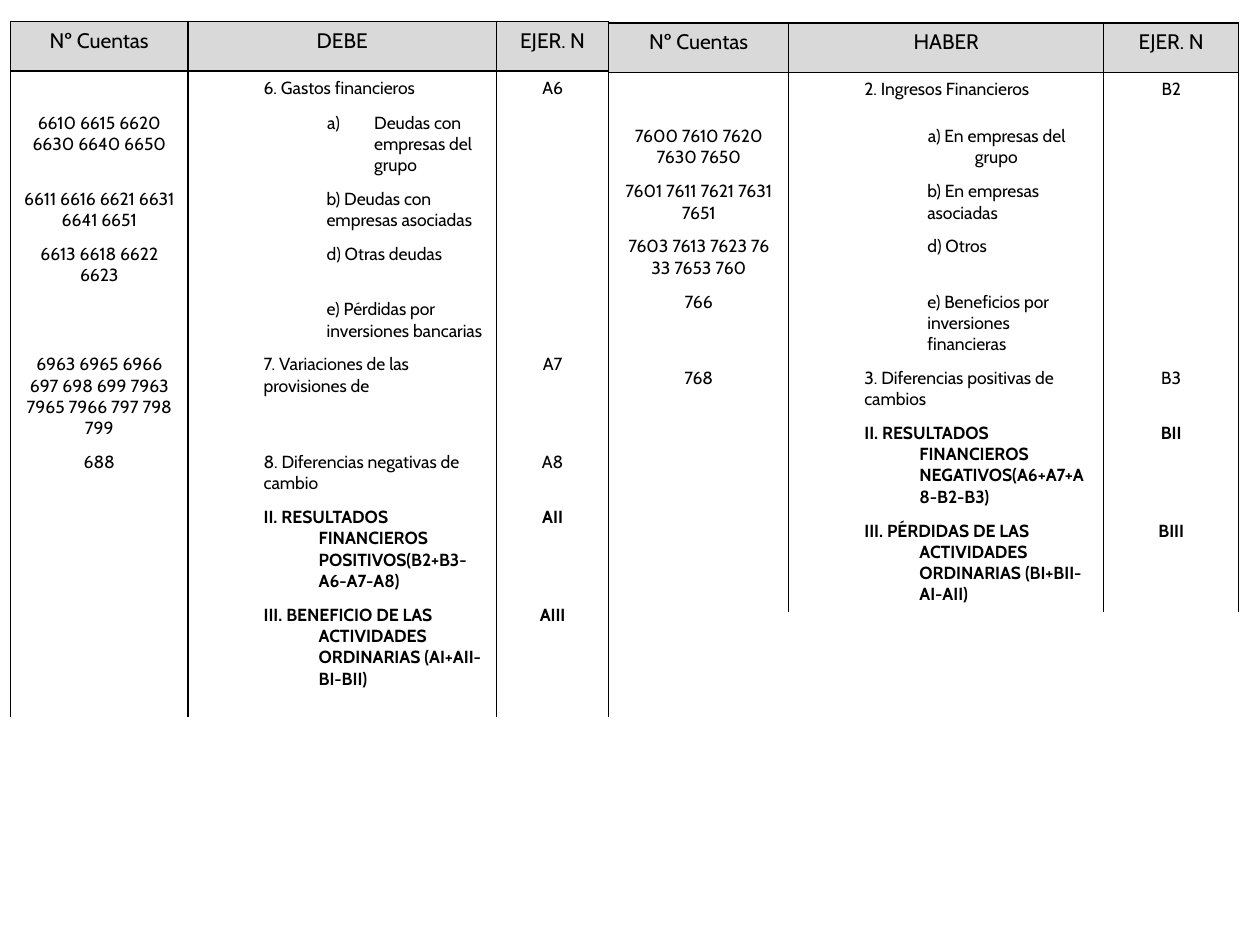
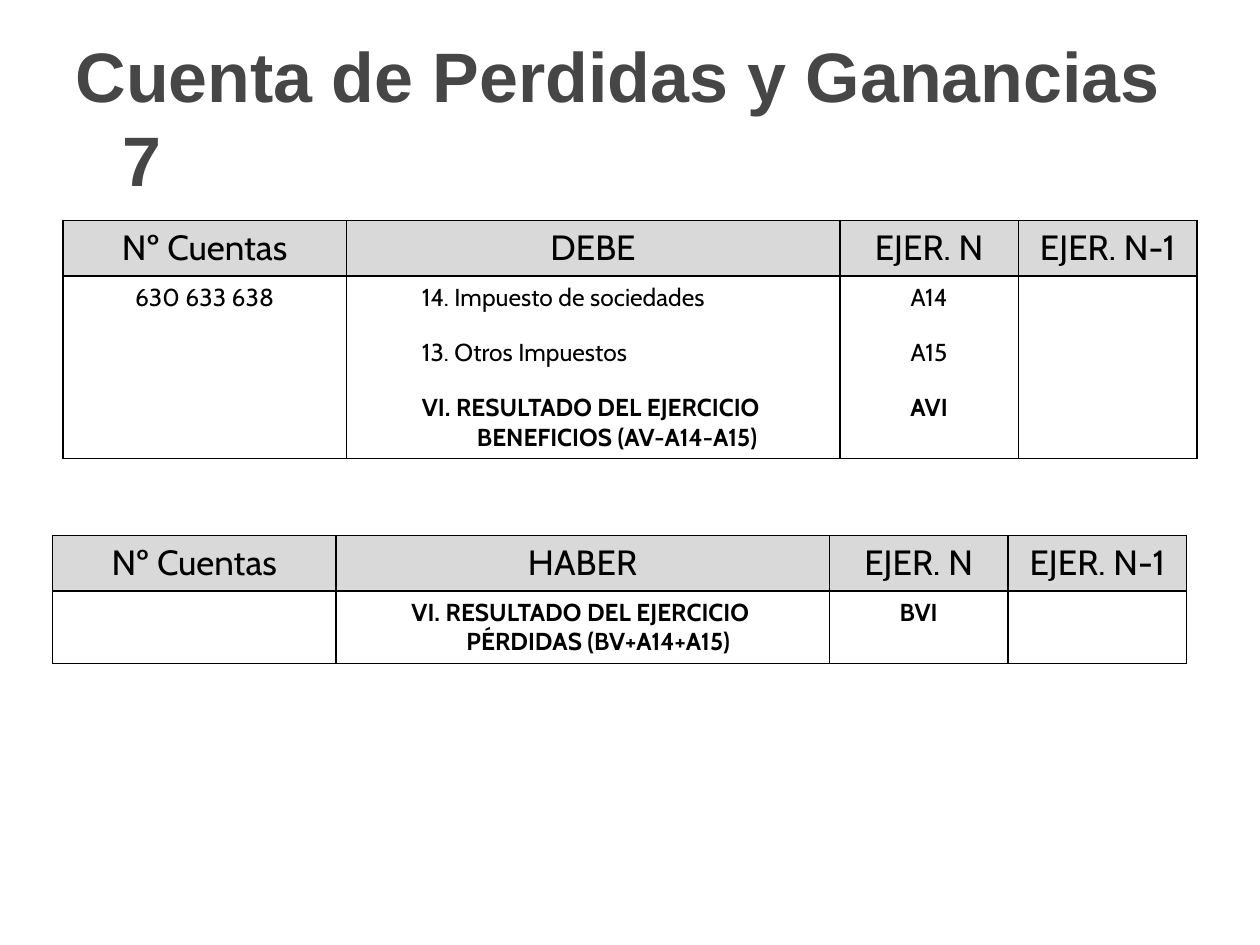
from lxml import etree
from pptx import Presentation
from pptx.dml.color import RGBColor
from pptx.enum.text import MSO_ANCHOR, MSO_AUTO_SIZE, PP_ALIGN
from pptx.oxml.ns import qn
from pptx.util import Cm, Pt

LEFT, MID = PP_ALIGN.LEFT, PP_ALIGN.CENTER
CENTRE = MSO_ANCHOR.MIDDLE
FIXED = MSO_AUTO_SIZE.NONE

INK, GREY, SLATE = "000000", "D9D9D9", "464646"
SIDES = "LRTB"

LEVELS = {
    "main": (1, 1.27, 0),
    "sub": (2, 2.54, 0),
    "hang": (2, 3.5, -0.95),
    "list": (2, 3.5, -0.95),
    "sum": (1, 2.38, -1.11),
}

DEBIT = [
    (0.71, "", "6. Gastos financieros", "main", "A6"),
    (1.53, "6610 6615 6620 6630 6640 6650",
     "Deudas con empresas del grupo", "list", ""),
    (1.11, "6611 6616 6621 6631 6641 6651",
     "b) Deudas con empresas asociadas", "sub", ""),
    (1.11, "6613 6618 6622 6623", "d) Otras deudas", "sub", ""),
    (1.11, "", "e) Pérdidas por inversiones bancarias", "sub", ""),
    (1.96, "6963 6965 6966 697 698 699 7963 7965 7966 797 798 799",
     "7. Variaciones de las provisiones de", "main", "A7"),
    (1.11, "688", "8. Diferencias negativas de cambio", "main", "A8"),
    (1.97, "", "II. RESULTADOS FINANCIEROS POSITIVOS(B2+B3-A6-A7-A8)",
     "sum", "AII"),
    (2.4, "",
     "III. BENEFICIO DE LAS ACTIVIDADES ORDINARIAS (AI+AII-BI-BII)",
     "sum", "AIII"),
]
CREDIT = [
    (0.95, "", "2. Ingresos Financieros", "main", "B2"),
    (1.11, "7600 7610 7620 7630 7650",
     "a) En empresas del grupo", "hang", ""),
    (1.11, "7601 7611 7621 7631 7651", "b) En empresas asociadas", "sub", ""),
    (1.11, "7603 7613 7623 76 33 7653 760", "d) Otros", "sub", ""),
    (1.53, "766", "e) Beneficios por inversiones financieras", "sub", ""),
    (1.11, "768", "3. Diferencias positivas de cambios", "main", "B3"),
    (1.97, "", "II. RESULTADOS FINANCIEROS NEGATIVOS(A6+A7+A8-B2-B3)",
     "sum", "BII"),
    (1.97, "",
     "III. PÉRDIDAS DE LAS ACTIVIDADES ORDINARIAS (BI+BII-AI-AII)",
     "sum", "BIII"),
]
PROFIT = [
    (1.11, "630 633 638", "14. Impuesto de sociedades", "main", "A14"),
    (1.11, "", "13. Otros Impuestos", "main", "A15"),
    (1.46, "", "VI. RESULTADO DEL EJERCICIO BENEFICIOS (AV-A14-A15)",
     "sum", "AVI"),
]
LOSS = [
    (1.46, "", "VI. RESULTADO DEL EJERCICIO PÉRDIDAS (BV+A14+A15)",
     "sum", "BVI"),
]


def tint(code):
    return RGBColor.from_string(code)


def write(frame, text, size=10, font="Cabin", color=INK, bold=False,
          align=LEFT, level=0, margin=0, indent=0, number=False):
    para = frame.paragraphs[0]
    para.alignment = align
    para.level = level
    props = para._p.get_or_add_pPr()
    props.set("marL", str(Cm(margin)))
    props.set("indent", str(Cm(indent)))
    if number:
        etree.SubElement(props, qn("a:buAutoNum"), type="alphaLcParenR")
    if not text:
        etree.SubElement(para._p, qn("a:endParaRPr"), sz=str(size * 100))
        return
    run = para.add_run()
    run.text = text
    run.font.size = Pt(size)
    run.font.name = font
    run.font.bold = bold
    run.font.color.rgb = tint(color)


def edge(cell, shown):
    props = cell._tc.get_or_add_tcPr()
    for side in SIDES:
        line = etree.SubElement(props, qn("a:ln" + side), w=str(Pt(1)))
        if side in shown:
            fill = etree.SubElement(line, qn("a:solidFill"))
            etree.SubElement(fill, qn("a:srgbClr"), val=INK)
        else:
            etree.SubElement(line, qn("a:noFill"))


def ledger(slide, box, widths, heads, items, head=12, size=10, top=1.0,
           closed=False):
    heights = [top] + [item[0] for item in items]
    frame = slide.shapes.add_table(
        len(heights), len(widths), Cm(box[0]), Cm(box[1]),
        Cm(sum(widths)), Cm(sum(heights)))
    table = frame.table
    table.first_row = table.horz_banding = False
    for col, width in zip(table.columns, widths):
        col.width = Cm(width)
    for row, height in zip(table.rows, heights):
        row.height = Cm(height)

    for c, text in enumerate(heads):
        cell = table.cell(0, c)
        edge(cell, SIDES)
        cell.fill.solid()
        cell.fill.fore_color.rgb = tint(GREY)
        write(cell.text_frame, text, size=head, align=MID)

    for r, (_, codes, text, kind, key) in enumerate(items, 1):
        level, margin, indent = LEVELS[kind]
        bold = kind == "sum"
        shown = "LR" + "T" * (r == 1) + "B" * (closed and r == len(items))
        for c in range(len(widths)):
            cell = table.cell(r, c)
            edge(cell, shown)
            cell.fill.background()
            if c == 1:
                write(cell.text_frame, text, size=size, bold=bold,
                      level=level, margin=margin, indent=indent,
                      number=kind == "list")
            else:
                label = {0: codes, 2: key}.get(c, "")
                write(cell.text_frame, label, size=size, bold=bold,
                      align=MID)


def heading(slide, box, text):
    title = slide.shapes.title
    title.left, title.top, title.width, title.height = map(Cm, box)
    frame = title.text_frame
    frame.word_wrap = True
    frame.auto_size = FIXED
    frame.vertical_anchor = CENTRE
    write(frame, text, size=40, font="Arial", color=SLATE, bold=True,
          margin=0.95, indent=-0.95)


def finance(deck):
    slide = deck.slides.add_slide(deck.slide_layouts[6])
    ledger(slide, (0.21, 0.43), (3.58, 6.22, 2.26),
           ("Nº Cuentas", "DEBE", "EJER. N"), DEBIT)
    ledger(slide, (12.27, 0.46), (3.63, 6.35, 2.72),
           ("Nº Cuentas", "HABER", "EJER. N"), CREDIT)


def result(deck):
    slide = deck.slides.add_slide(deck.slide_layouts[5])
    heading(slide, (1.27, 0.76, 22.86, 3.18),
            "Cuenta de Perdidas y Ganancias 7")
    for box, name, items in (((1.27, 4.45), "DEBE", PROFIT),
                             ((1.06, 10.8), "HABER", LOSS)):
        ledger(slide, box, (5.71, 9.95, 3.6, 3.6),
               ("Nº Cuentas", name, "EJER. N", "EJER. N-1"), items,
               head=20, size=14, top=1.11, closed=True)


def main():
    deck = Presentation()
    deck.slide_width, deck.slide_height = Cm(25.4), Cm(19.05)
    finance(deck)
    result(deck)
    deck.save("out.pptx")


if __name__ == "__main__":
    main()
